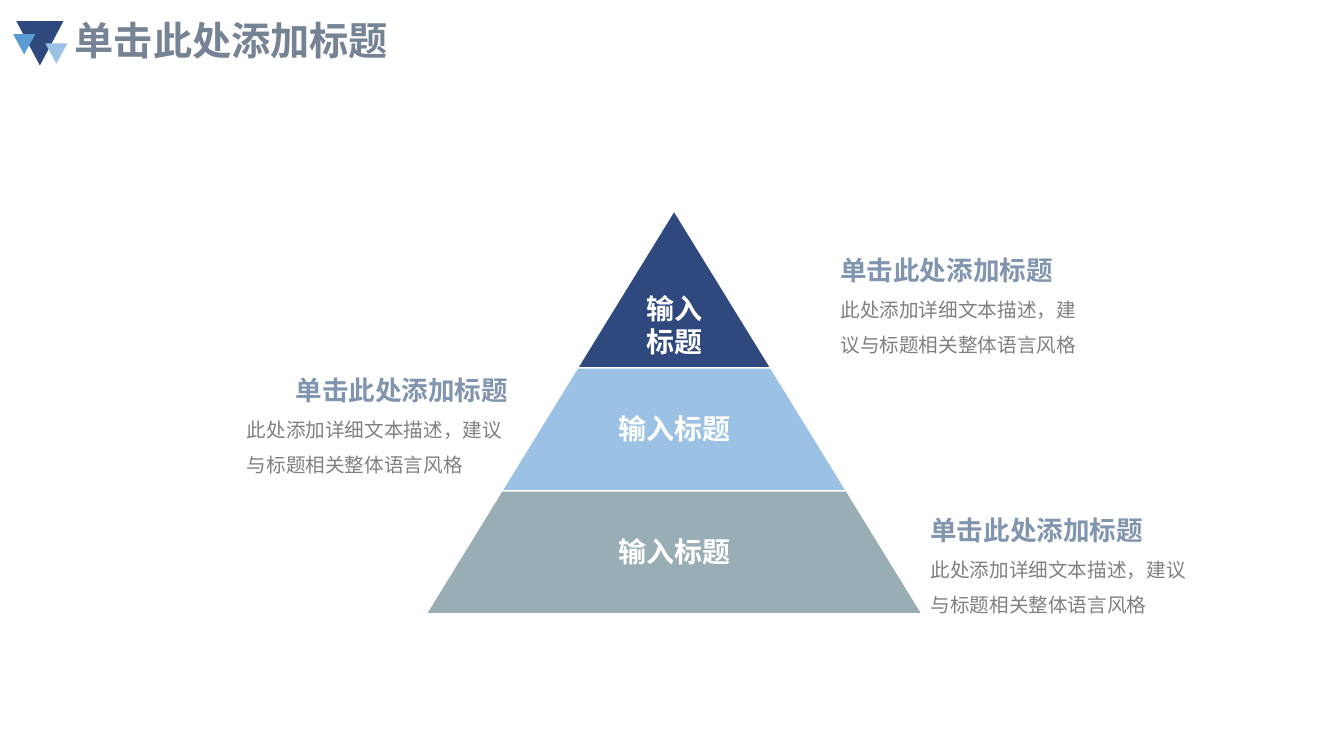
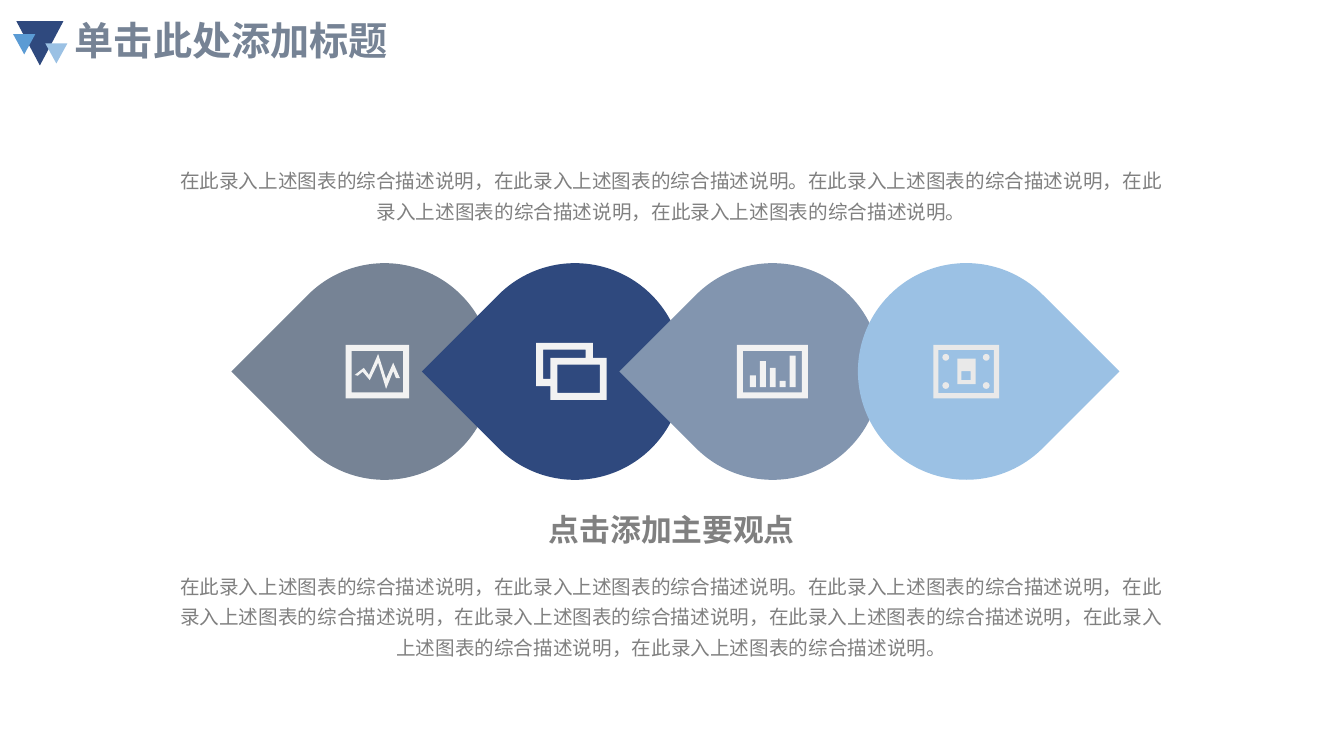
from lxml import etree
from pptx import Presentation
from pptx.dml.color import RGBColor
from pptx.enum.shapes import MSO_SHAPE
from pptx.enum.text import MSO_ANCHOR, PP_ALIGN
from pptx.oxml.ns import qn
from pptx.util import Cm, Pt

LEFT, CENTER, RIGHT = PP_ALIGN.LEFT, PP_ALIGN.CENTER, PP_ALIGN.RIGHT
MIDDLE = MSO_ANCHOR.MIDDLE
TRIANGLE, TEARDROP = MSO_SHAPE.ISOSCELES_TRIANGLE, MSO_SHAPE.TEAR
RECTANGLE, OVAL = MSO_SHAPE.RECTANGLE, MSO_SHAPE.OVAL

FONT = "Noto Sans CJK SC"
NAVY = RGBColor(0x2F, 0x49, 0x7E)
SKY = RGBColor(0x9B, 0xC1, 0xE4)
BLUE = RGBColor(0x5B, 0x9B, 0xD4)
SLATE = RGBColor(0x76, 0x83, 0x95)
STEEL = RGBColor(0x82, 0x95, 0xAF)
SAGE = RGBColor(0x98, 0xAE, 0xB4)
GRAY = RGBColor(0x80, 0x80, 0x80)
WHITE = RGBColor(0xFF, 0xFF, 0xFF)
ICON_WHITE = RGBColor(0xF2, 0xF2, 0xF2)
ICON_GRAY = RGBColor(0xE9, 0xE9, 0xE9)

# Shared content; all positions are (left, top, width, height) in cm
TITLE = "单击此处添加标题"
TITLE_BOX = (1.63, 0.38, 29.21, 1.4)
LOGO_TRIANGLES = [
    ((0.41, 0.53, 1.19, 1.12), NAVY),
    ((1.14, 1.09, 0.56, 0.51), SKY),
    ((0.33, 0.86, 0.56, 0.51), BLUE),
]
DEFAULT_INSETS = (0.25, 0.13)

# Pyramid slide
APEX_X, APEX_Y = 16.99, 5.31
BASE_Y, BASE_HALF_WIDTH = 15.47, 6.25
LABEL_WIDTH = 4
PYRAMID_LEVELS = [  # bottom edge, colour, label lines, label top
    (9.27, NAVY, ["输入", "标题"], 7.21),
    (12.37, SKY, ["输入标题"], 10.24),
    (15.47, SAGE, ["输入标题"], 13.34),
]
CAPTION_HEADING = "单击此处添加标题"
CAPTION_BODY = "此处添加详细文本描述，建议与标题相关整体语言风格"
CAPTION_INSETS = (0.33, 0.18)
CAPTIONS = [
    ((20.85, 5.82, 6.78, 3.33), LEFT),
    ((5.89, 8.84, 7.24, 3.25), RIGHT),
    ((23.12, 12.37, 7.24, 3.25), LEFT),
]

# Teardrop slide
DROP_TOP, DROP_SIZE = 6.63, 5.46
POINT_LEFT, POINT_RIGHT = 225, 45
DROPS = [
    (6.96, SLATE, POINT_LEFT),
    (11.76, NAVY, POINT_LEFT),
    (16.74, STEEL, POINT_LEFT),
    (21.62, SKY, POINT_RIGHT),
]
PULSE_LINE = [
    (9.04, 9.45), (9.14, 9.37), (9.32, 9.58), (9.53, 9.14), (9.73, 9.8),
    (9.91, 9.35), (9.98, 9.53), (10.08, 9.53), (9.91, 9.14), (9.73, 9.55),
    (9.53, 8.92), (9.3, 9.45), (9.17, 9.27), (8.94, 9.45), (9.02, 9.47),
]
WINDOWS_OUTLINE = [
    (14.94, 9.02), (14.94, 8.64), (13.51, 8.64), (13.51, 9.73),
    (13.87, 9.73), (13.87, 10.08), (15.29, 10.08), (15.29, 9.02),
]
BACK_WINDOW = [
    (13.69, 9.55), (13.69, 8.81), (14.76, 8.81),
    (14.76, 9.02), (13.87, 9.02), (13.87, 9.55),
]
FRONT_WINDOW = (14.05, 9.19, 1.07, 0.71)
BAR_LEFT, BAR_PITCH, BAR_WIDTH, BAR_BOTTOM = 18.9, 0.25, 0.15, 9.76
BAR_HEIGHTS = [0.3, 0.66, 0.49, 0.16, 0.8]
SCREWS = [(x, y) for y in (8.92, 9.63) for x in (23.75, 24.77)]
SCREW_SIZE = 0.17

KEY_POINT = "点击添加主要观点"
KEY_POINT_BOX = (13.54, 12.73, 6.78, 1.19)
SUMMARIES = [
    ((4.17, 3.96, 25.5, 1.8),
     "在此录入上述图表的综合描述说明，在此录入上述图表的综合描述说明。"
     "在此录入上述图表的综合描述说明，在此录入上述图表的综合描述说明，"
     "在此录入上述图表的综合描述说明。"),
    ((4.17, 14.17, 25.5, 2.59),
     "在此录入上述图表的综合描述说明，在此录入上述图表的综合描述说明。"
     "在此录入上述图表的综合描述说明，在此录入上述图表的综合描述说明，"
     "在此录入上述图表的综合描述说明，在此录入上述图表的综合描述说明，"
     "在此录入上述图表的综合描述说明，在此录入上述图表的综合描述说明。"),
]


def to_cm(values):
    return [Cm(value) for value in values]


def write(paragraph, text, size, color, bold=False, align=LEFT, spacing=1.0):
    paragraph.alignment = align
    paragraph.line_spacing = spacing
    run = paragraph.add_run()
    run.text = text
    font = run.font
    font.name, font.size, font.bold = FONT, Pt(size), bold
    font.color.rgb = color
    # East Asian characters need their own typeface entry
    latin = run._r.get_or_add_rPr().find(qn("a:latin"))
    east_asian = etree.Element(qn("a:ea"), typeface=FONT)
    latin.addnext(east_asian)


def add_text(slide, box, lines, insets=DEFAULT_INSETS, wrap=True):
    """Each line is a dict of arguments for write()."""
    frame = slide.shapes.add_textbox(*to_cm(box)).text_frame
    frame.word_wrap = wrap
    frame.margin_left = frame.margin_right = Cm(insets[0])
    frame.margin_top = frame.margin_bottom = Cm(insets[1])
    for index, line in enumerate(lines):
        paragraph = frame.add_paragraph() if index else frame.paragraphs[0]
        write(paragraph, **line)


def paint(shape, color, outline=None):
    shape.shadow.inherit = False
    shape.fill.solid()
    shape.fill.fore_color.rgb = color
    if outline is None:
        shape.line.fill.background()
    else:
        shape.line.color.rgb = outline
        shape.line.width = Pt(1)


def add_preset(slide, kind, box, color, rotation=0):
    shape = slide.shapes.add_shape(kind, *to_cm(box))
    shape.rotation = rotation
    paint(shape, color)


def add_outline(slide, loops, color, outline=None):
    """Draw closed loops as one shape; inner loops become holes."""
    builder = slide.shapes.build_freeform(*to_cm(loops[0][0]), scale=1.0)
    for index, loop in enumerate(loops):
        points = [to_cm(point) for point in loop]
        if index:
            builder.move_to(*points[0])
        builder.add_line_segments(points[1:], close=True)
    paint(builder.convert_to_shape(), color, outline)


def box_loop(left, top, width, height):
    right, bottom = left + width, top + height
    return [(left, top), (left, bottom), (right, bottom), (right, top)]


def hole_loop(*box):
    return box_loop(*box)[::-1]


def add_frame(slide, left, width, border, color, top=8.69, height=1.35):
    hole = hole_loop(left + border, top + border,
                     width - 2 * border, height - 2 * border)
    add_outline(slide, [box_loop(left, top, width, height), hole], color)


def add_titled_slide(presentation):
    slide = presentation.slides.add_slide(presentation.slide_layouts[5])
    title = slide.shapes.title
    title.left, title.top, title.width, title.height = to_cm(TITLE_BOX)
    title.text_frame.vertical_anchor = MIDDLE
    write(title.text_frame.paragraphs[0], TITLE, 28, SLATE, True, spacing=0.9)
    for box, color in LOGO_TRIANGLES:
        add_preset(slide, TRIANGLE, box, color, 180)
    return slide


def build_pyramid_slide(presentation):
    slide = add_titled_slide(presentation)

    # Levels: the sides widen evenly from the apex to the base
    def edge(y):
        half = BASE_HALF_WIDTH * (y - APEX_Y) / (BASE_Y - APEX_Y)
        return (APEX_X - half, y), (APEX_X + half, y)

    top = APEX_Y
    for bottom, color, label, label_top in PYRAMID_LEVELS:
        corners = [*edge(top), *reversed(edge(bottom))]
        add_outline(slide, [list(dict.fromkeys(corners))], color, WHITE)
        box = (APEX_X - LABEL_WIDTH / 2, label_top, LABEL_WIDTH, 1.17 * len(label))
        add_text(slide, box, [
            dict(text=text, size=20, color=WHITE, bold=True, align=CENTER)
            for text in label])
        top = bottom

    # Captions beside the levels
    for box, heading_align in CAPTIONS:
        add_text(slide, box, [
            dict(text=CAPTION_HEADING, size=19, color=STEEL, bold=True,
                 align=heading_align, spacing=1.5),
            dict(text=CAPTION_BODY, size=14, color=GRAY, spacing=1.5),
        ], CAPTION_INSETS)


def add_pulse_icon(slide):
    add_outline(slide, [PULSE_LINE], ICON_WHITE)
    add_frame(slide, 8.71, 1.6, 0.15, ICON_WHITE)


def add_windows_icon(slide):
    loops = [WINDOWS_OUTLINE, BACK_WINDOW, hole_loop(*FRONT_WINDOW)]
    add_outline(slide, loops, ICON_WHITE)


def add_bars_icon(slide):
    for index, height in enumerate(BAR_HEIGHTS):
        box = (BAR_LEFT + index * BAR_PITCH, BAR_BOTTOM - height, BAR_WIDTH, height)
        add_preset(slide, RECTANGLE, box, ICON_WHITE)
    add_frame(slide, 18.57, 1.79, 0.15, ICON_WHITE)


def add_switch_icon(slide):
    add_frame(slide, 23.52, 1.66, 0.13, ICON_GRAY)
    for left, top in SCREWS:
        add_preset(slide, OVAL, (left, top, SCREW_SIZE, SCREW_SIZE), ICON_GRAY)
    switch = [box_loop(24.13, 9.04, 0.46, 0.64), hole_loop(24.23, 9.35, 0.23, 0.23)]
    add_outline(slide, switch, ICON_GRAY)


def build_teardrop_slide(presentation):
    slide = add_titled_slide(presentation)

    # Overlapping drops, each with its icon
    icons = [add_pulse_icon, add_windows_icon, add_bars_icon, add_switch_icon]
    for (left, color, rotation), add_icon in zip(DROPS, icons):
        box = (left, DROP_TOP, DROP_SIZE, DROP_SIZE)
        add_preset(slide, TEARDROP, box, color, rotation)
        add_icon(slide)

    # Key point and summaries
    add_text(slide, KEY_POINT_BOX, [
        dict(text=KEY_POINT, size=22, color=GRAY, bold=True, align=CENTER),
    ], wrap=False)
    for box, text in SUMMARIES:
        add_text(slide, box, [
            dict(text=text, size=14, color=GRAY, align=CENTER, spacing=1.3)])


def main():
    presentation = Presentation()
    presentation.slide_width, presentation.slide_height = Cm(33.87), Cm(19.05)
    build_pyramid_slide(presentation)
    build_teardrop_slide(presentation)
    presentation.save("out.pptx")


if __name__ == "__main__":
    main()
